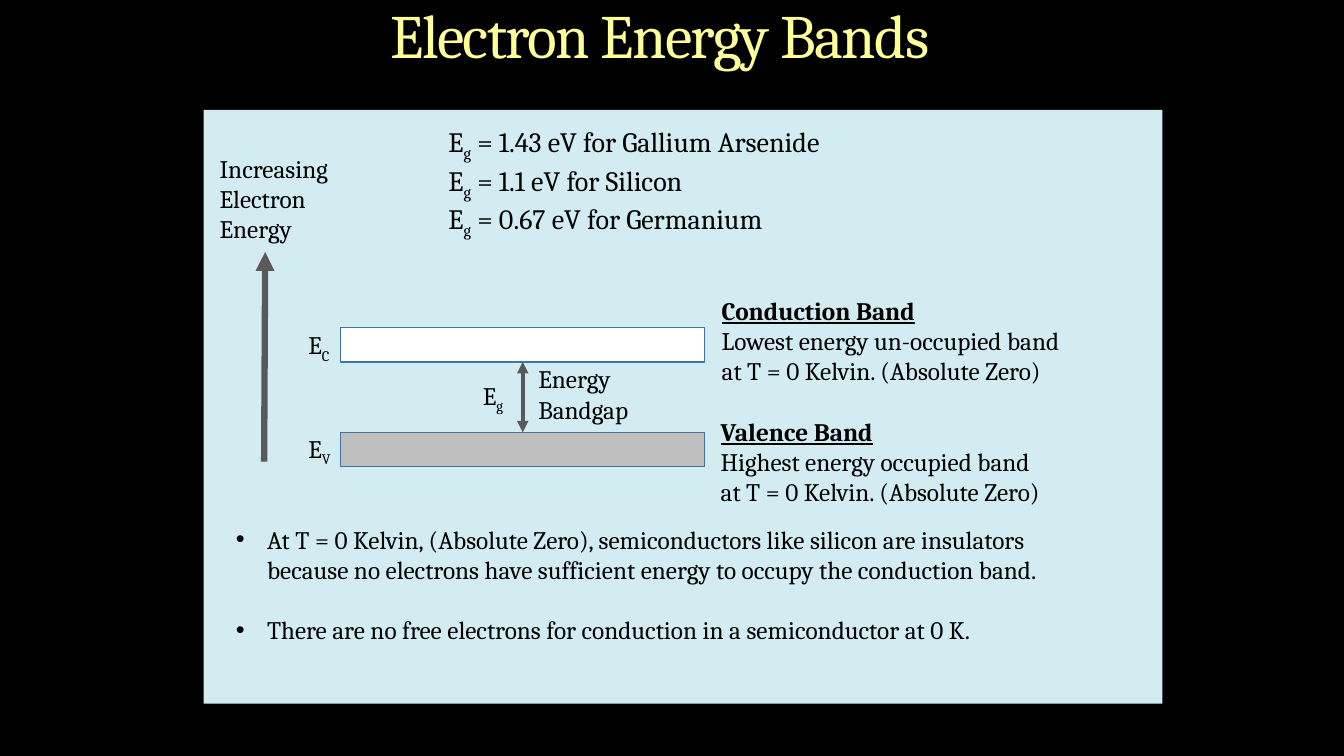
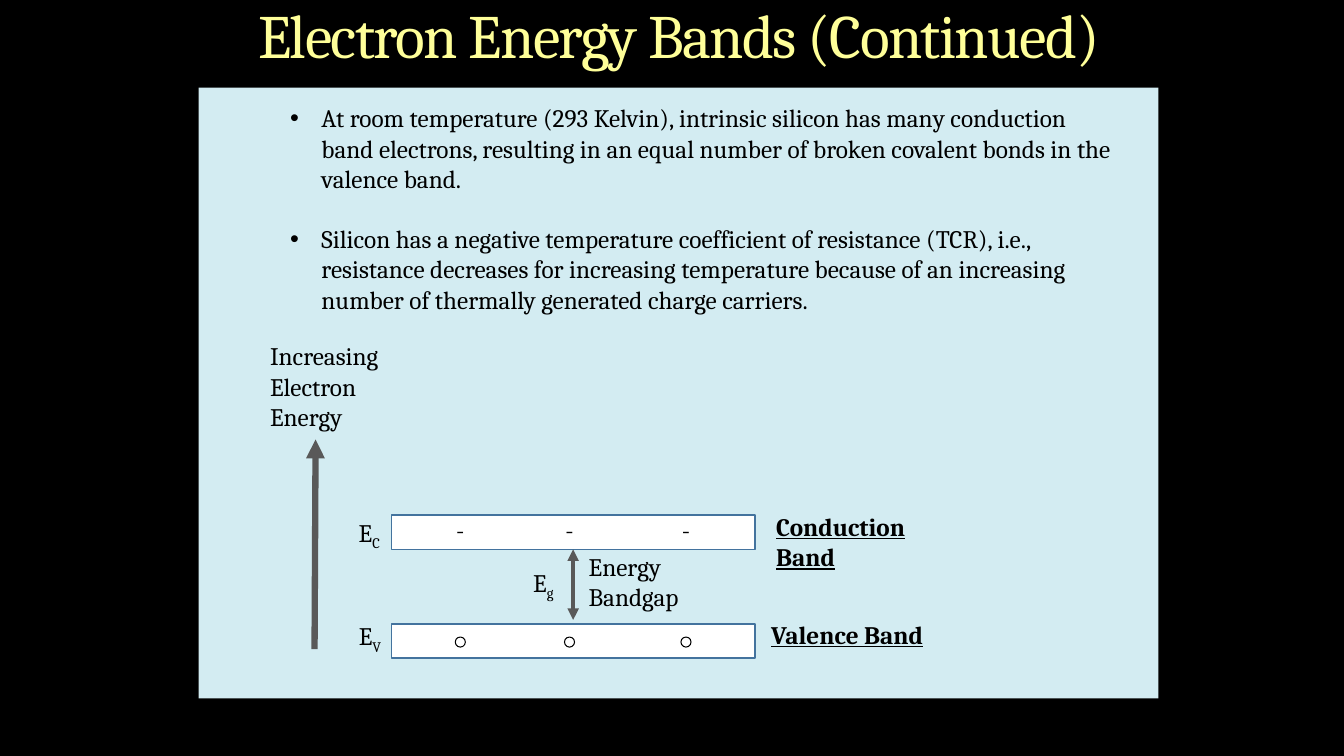
import pptx
import pptx.dml.color
import pptx.enum.shapes
import pptx.enum.text
import pptx.oxml.ns
import pptx.util
from lxml import etree

SHAPE = pptx.enum.shapes.MSO_SHAPE
ALIGN = pptx.enum.text.PP_ALIGN
ANCHOR = pptx.enum.text.MSO_ANCHOR
FONT = "Cambria"
BLACK, WHITE, GREY = "000000", "FFFFFF", "BFBFBF"
TITLE, PANEL, OUTLINE, ARROW = "FFFF99", "D3ECF2", "43739E", "595959"
LINE_GAP = 21.5
HANG = 0.31
BAND_W, BAND_H, BANDGAP = 3.61, 0.34, 0.7
CARRIERS = [BAND_W * share for share in (0.19, 0.49, 0.81)]


def inch(*values):
    return [pptx.util.Inches(v) for v in values]


def rgb(value):
    return pptx.dml.color.RGBColor.from_string(value)


def shift(box, dx, dy, *size):
    """Position inside a box, followed by an optional width and height."""
    return (box[0] + dx, box[1] + dy, *size)


def sub_element(parent, tag, **attributes):
    return etree.SubElement(parent, pptx.oxml.ns.qn(tag), attributes)


def add_text(slide, box, paragraphs, size=18, wrap=True, color=BLACK):
    """Each paragraph is a list of (text, style); style is "", "sub" or "head"."""
    tf = slide.shapes.add_textbox(*inch(*box)).text_frame
    tf.word_wrap = wrap
    for i, runs in enumerate(paragraphs):
        p = tf.paragraphs[0] if i == 0 else tf.add_paragraph()
        for text, style in runs:
            r = p.add_run()
            r.text = text
            r.font.name, r.font.size = FONT, pptx.util.Pt(size)
            r.font.color.rgb = rgb(color)
            if style == "sub":
                r.font._element.set("baseline", "-25000")
            elif style == "head":
                r.font.bold = r.font.underline = True
    return tf


def add_shape(slide, kind, box, fill=None, line=None, width=1):
    sp = slide.shapes.add_shape(kind, *inch(*box))
    sp.shadow.inherit = False
    if fill:
        sp.fill.solid()
        sp.fill.fore_color.rgb = rgb(fill)
    else:
        sp.fill.background()
    if line:
        sp.line.color.rgb = rgb(line)
        sp.line.width = pptx.util.Pt(width)
    else:
        sp.line.fill.background()
    return sp


def add_arrow(slide, start, end, width, both=False):
    arrow = slide.shapes.add_connector(
        pptx.enum.shapes.MSO_CONNECTOR.STRAIGHT, *inch(*start, *end))
    arrow.line.color.rgb = rgb(ARROW)
    arrow.line.width = pptx.util.Pt(width)
    ln = arrow.line._get_or_add_ln()
    if both:
        sub_element(ln, "a:headEnd", type="triangle")
    sub_element(ln, "a:tailEnd", type="triangle")
    sub_element(arrow._element.spPr, "a:effectLst")
    return arrow


def add_bullets(slide, box, lines):
    tf = add_text(slide, box, [[(line, "")] for line in lines])
    for i, p in enumerate(tf.paragraphs):
        pPr = p._p.get_or_add_pPr()
        pPr.set("marL", str(pptx.util.Inches(HANG)))
        pPr.set("indent", str(-pptx.util.Inches(HANG)))
        sub_element(pPr, "a:buFont", typeface="Arial")
        sub_element(pPr, "a:buChar", char="•")
        if i:
            p.space_before = pptx.util.Pt(LINE_GAP)


def add_symbol(slide, box, subscript):
    add_text(slide, box, [[("E", ""), (subscript, "sub")]], wrap=False)


def add_band_note(slide, box, heading, *lines):
    add_text(slide, box, [[(heading, "head")]] + [[(line, "")] for line in lines])


def add_energy_diagram(slide, origin, valence_fill, valence_drop=0):
    """Energy axis and two bands; returns the boxes of the bands."""
    add_text(slide, shift(origin, 0, 0, 1.74, 1.01),
             [[("Increasing Electron", "")], [("Energy", "")]])
    add_arrow(slide, shift(origin, 0.54, 3.11), shift(origin, 0.55, 1.03), 4.5)
    top = 1.78
    bottom = top + BAND_H + BANDGAP
    conduction = shift(origin, 1.3, top, BAND_W, BAND_H)
    valence = shift(origin, 1.3, bottom + valence_drop, BAND_W, BAND_H)
    upper = add_shape(slide, SHAPE.RECTANGLE, conduction, WHITE, OUTLINE)
    lower = add_shape(slide, SHAPE.RECTANGLE, valence, valence_fill, OUTLINE)
    middle = 1.3 + BAND_W / 2
    gap = add_arrow(slide, shift(origin, middle, top + BAND_H),
                    shift(origin, middle, bottom), 2.75, both=True)
    gap.begin_connect(upper, 2)
    if not valence_drop:
        gap.end_connect(lower, 0)
    add_symbol(slide, shift(origin, 0.88, 1.75, 0.44, 0.4), "C")
    add_symbol(slide, shift(origin, 0.88, 2.78, 0.45, 0.4), "V")
    add_symbol(slide, shift(origin, 2.61, 2.25, 0.43, 0.4), "g")
    add_text(slide, shift(origin, 3.16, 2.09, 1.15, 0.71),
             [[("Energy", "")], [("Bandgap", "")]], wrap=False)
    return conduction, valence


def add_electrons(slide, band):
    tf = add_text(slide, shift(band, 0, -0.06, BAND_W, 0.4), [[("\t-" * len(CARRIERS), "")]])
    tf.margin_left = tf.margin_right = 0
    tabs = sub_element(tf.paragraphs[0]._p.get_or_add_pPr(), "a:tabLst")
    for x in CARRIERS:
        sub_element(tabs, "a:tab", pos=str(pptx.util.Inches(x)), algn="ctr")


def add_holes(slide, band, size=0.1):
    for x in CARRIERS:
        add_shape(slide, SHAPE.OVAL, shift(band, x - size / 2, 0.13, size, size),
                  line=BLACK, width=0.75)


def start_slide(prs, title, title_box, panel):
    slide = prs.slides.add_slide(prs.slide_layouts[6])
    tf = add_text(slide, title_box, [[(title, "")]], size=44, color=TITLE)
    tf.margin_left = tf.margin_right = tf.margin_top = tf.margin_bottom = 0
    tf.vertical_anchor = ANCHOR.MIDDLE
    p = tf.paragraphs[0]
    p.alignment, p.line_spacing = ALIGN.CENTER, 0.9
    p.runs[0].font._element.set("spc", "-110")
    add_shape(slide, SHAPE.RECTANGLE, panel, PANEL)
    return slide


def bands_slide(prs, panel):
    slide = start_slide(prs, "Electron Energy Bands", (3.68, 0.05, 5.73, 0.66), panel)
    gaps = (("1.43", "Gallium Arsenide"), ("1.1", "Silicon"), ("0.67", "Germanium"))
    add_text(slide, shift(panel, 2.33, 0.1, 4.16, 1.11),
             [[("E", ""), ("g", "sub"), (f" = {ev} eV for {name}", "")] for ev, name in gaps],
             size=20, wrap=False)
    add_energy_diagram(slide, shift(panel, 0.06, 0.38), GREY)
    at_zero = "at T = 0 Kelvin. (Absolute Zero)"
    add_band_note(slide, shift(panel, 5.04, 1.79, 3.84, 1.01), "Conduction Band",
                  "Lowest energy un-occupied band", at_zero)
    add_band_note(slide, shift(panel, 5.03, 2.99, 3.63, 1.01), "Valence Band",
                  "Highest energy occupied band", at_zero)
    add_bullets(slide, shift(panel, 0.22, 4.06, 8.45, 1.62), [
        "At T = 0 Kelvin, (Absolute Zero), semiconductors like silicon are insulators "
        "because no electrons have sufficient energy to occupy the conduction band.",
        "There are no free electrons for conduction in a semiconductor at 0 K."])


def continued_slide(prs, panel):
    slide = start_slide(prs, "Electron Energy Bands (Continued)",
                        (2.14, 0.05, 9.19, 0.66), panel)
    add_bullets(slide, shift(panel, 0.81, 0.1, 8.45, 2.22), [
        "At room temperature (293 Kelvin), intrinsic silicon has many conduction band "
        "electrons, resulting in an equal number of broken covalent bonds in the valence band.",
        "Silicon has a negative temperature coefficient of resistance (TCR), i.e., "
        "resistance decreases for increasing temperature because of an increasing number "
        "of thermally generated charge carriers."])
    conduction, valence = add_energy_diagram(
        slide, shift(panel, 0.61, 2.46), WHITE, valence_drop=0.04)
    add_electrons(slide, conduction)
    add_holes(slide, valence)
    add_band_note(slide, shift(panel, 5.63, 4.15, 2.08, 0.4), "Conduction Band")
    add_band_note(slide, shift(panel, 5.58, 5.22, 2.13, 0.4), "Valence Band")


def main():
    prs = pptx.Presentation()
    prs.slide_width, prs.slide_height = inch(13.33, 7.5)
    background = prs.slide_master.background.fill
    background.solid()
    background.fore_color.rgb = rgb(BLACK)
    bands_slide(prs, (2.02, 1.09, 9.51, 5.89))
    continued_slide(prs, (1.97, 0.87, 9.52, 6.06))
    prs.save("out.pptx")


if __name__ == "__main__":
    main()
